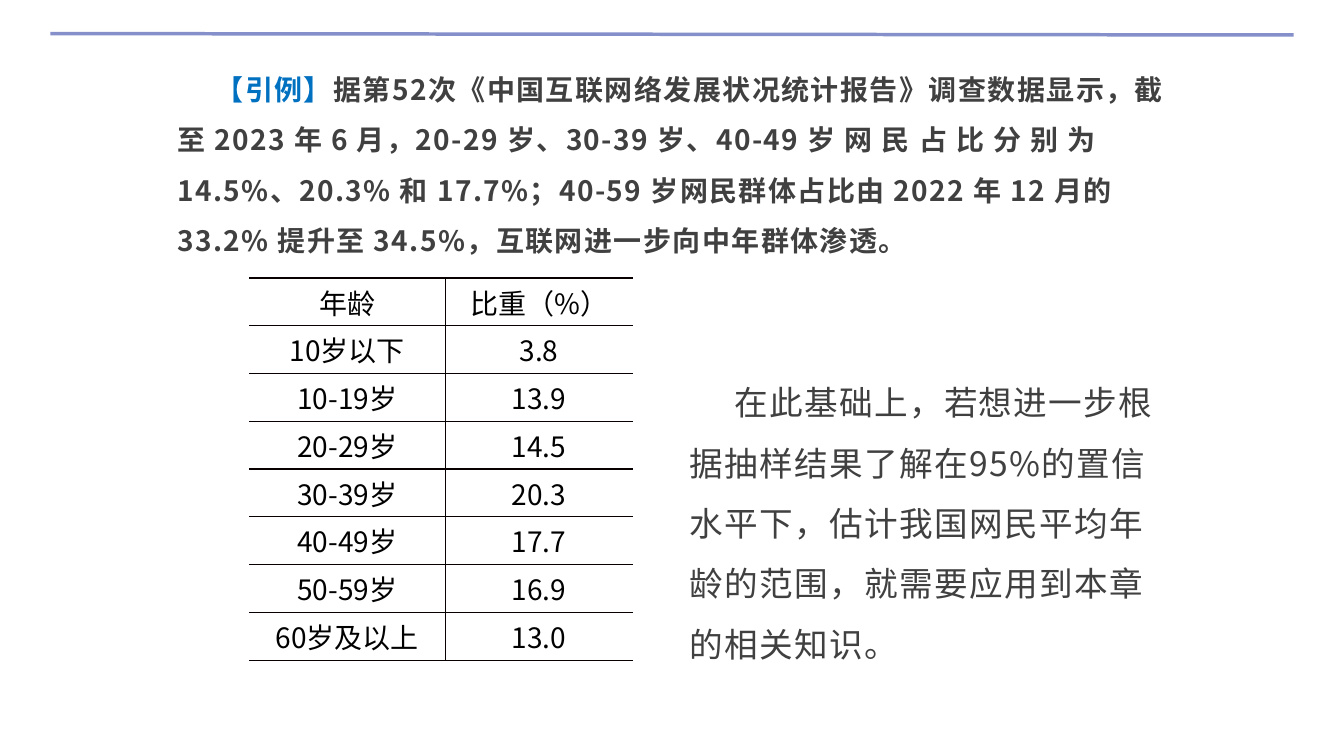
from lxml import etree
from pptx import Presentation
from pptx import util as u
from pptx.dml.color import RGBColor
from pptx.enum import shapes, text
from pptx.oxml import ns

# Content
INTRODUCTION = [
    ("【引例】", "accent"),
    ("据第52次《中国互联网络发展状况统计报告》调查数据显示，截至 2023 年 6 月，"
     "20-29 岁、30-39 岁、40-49 岁 网 民 占 比 分 别 为 14.5%、20.3% 和 17.7%；"
     "40-59 岁网民群体占比由 2022 年 12 月的 33.2% 提升至 34.5%，"
     "互联网进一步向中年群体渗透。", "body"),
]
QUESTION = [
    ("在此基础上，若想进一步根据抽样结果了解在95%的置信水平下，"
     "估计我国网民平均年龄的范围，就需要应用到本章的相关知识。", "body"),
]
AGE_SHARES = [
    ("年龄", "比重（%）"),
    ("10岁以下", "3.8"),
    ("10-19岁", "13.9"),
    ("20-29岁", "14.5"),
    ("30-39岁", "20.3"),
    ("40-49岁", "17.7"),
    ("50-59岁", "16.9"),
    ("60岁及以上", "13.0"),
]

THEME = {
    "font": "Noto Sans CJK SC",
    "sizes": {"introduction": 20, "table": 20, "question": 24},
    "colors": {"body": "404040", "accent": "0070C0", "table": "000000",
               "border": "080000", "rule": "8590CA"},
}


def color(name):
    return RGBColor.from_string(THEME["colors"][name])


def write(frame, runs, size, bold=False, spacing=0, indent=0, line_spacing=None,
          space_after=0, align=text.PP_ALIGN.LEFT, anchor=text.MSO_ANCHOR.TOP):
    """Fill the frame with one paragraph of (words, color name) runs."""
    frame.word_wrap = True
    frame.vertical_anchor = anchor
    paragraph = frame.paragraphs[0]
    paragraph.alignment = align
    paragraph.space_after = u.Pt(space_after)
    if line_spacing:
        paragraph.line_spacing = line_spacing
    if indent:
        properties = paragraph._p.get_or_add_pPr()
        properties.set("marL", "0")
        properties.set("indent", str(u.Pt(indent)))
    for words, color_name in runs:
        run = paragraph.add_run()
        run.text = words
        run.font.size = u.Pt(THEME["sizes"][size])
        run.font.bold = bold
        run.font.color.rgb = color(color_name)
        run.font.name = THEME["font"]
        properties = run._r.get_or_add_rPr()
        properties.set("spc", str(spacing * 100))
        etree.SubElement(properties, ns.qn("a:ea"), typeface=THEME["font"])


def add_text(slide, box, margins, runs, **style):
    frame = slide.shapes.add_textbox(*map(u.Pt, box)).text_frame
    frame.margin_left = frame.margin_right = u.Pt(margins[0])
    frame.margin_top = frame.margin_bottom = u.Pt(margins[1])
    write(frame, runs, spacing=1, line_spacing=1.5, **style)


def set_borders(cell, visible):
    properties = cell._tc.get_or_add_tcPr()
    for side in "LRTB":
        line = etree.SubElement(properties, ns.qn("a:ln" + side), w=str(u.Pt(1)))
        if side in visible:
            fill = etree.SubElement(line, ns.qn("a:solidFill"))
            etree.SubElement(fill, ns.qn("a:srgbClr"), val=THEME["colors"]["border"])
        else:
            etree.SubElement(line, ns.qn("a:noFill"))


def add_age_table(slide, left, top, widths, row_height):
    table = slide.shapes.add_table(
        len(AGE_SHARES), len(widths), u.Pt(left), u.Pt(top),
        u.Pt(sum(widths)), u.Pt(row_height * len(AGE_SHARES))).table
    table.first_row = table.horz_banding = False
    for column, width in zip(table.columns, widths):
        column.width = u.Pt(width)
    for row_index, row in enumerate(AGE_SHARES):
        table.rows[row_index].height = u.Pt(row_height)
        for column_index, words in enumerate(row):
            cell = table.cell(row_index, column_index)
            cell.margin_left = cell.margin_right = u.Pt(5)
            cell.margin_top = cell.margin_bottom = 0
            cell.vertical_anchor = text.MSO_ANCHOR.MIDDLE
            set_borders(cell, "RTB" if column_index == 0 else "LTB")
            cell.fill.background()
            paragraph_style = {"size": "table", "align": text.PP_ALIGN.CENTER,
                               "anchor": text.MSO_ANCHOR.MIDDLE}
            write(cell.text_frame, [(words, "table")], **paragraph_style)


def main():
    presentation = Presentation()
    presentation.slide_width, presentation.slide_height = u.Pt(960), u.Pt(540)
    slide = presentation.slides.add_slide(presentation.slide_layouts[6])

    # Rule across the top
    rule = slide.shapes.add_connector(
        shapes.MSO_CONNECTOR.STRAIGHT, u.Pt(36), u.Pt(24), u.Pt(924), u.Pt(25))
    rule.line.color.rgb = color("rule")
    rule.line.width = u.Pt(2.5)
    etree.SubElement(rule._element.spPr, ns.qn("a:effectLst"))

    # Introductory example
    add_text(slide, (121.7, 45.4, 717, 132.5), (5, 2.2), INTRODUCTION,
             size="introduction", bold=True, indent=27.4, space_after=8,
             anchor=text.MSO_ANCHOR.MIDDLE)

    # Share of internet users by age
    add_age_table(slide, left=177.9, top=198.5, widths=(140.2, 134), row_height=34.15)

    # Question that leads into the chapter
    add_text(slide, (485.3, 254.9, 353.5, 225.4), (7.2, 3.6), QUESTION,
             size="question", indent=32)

    presentation.save("out.pptx")


if __name__ == "__main__":
    main()
